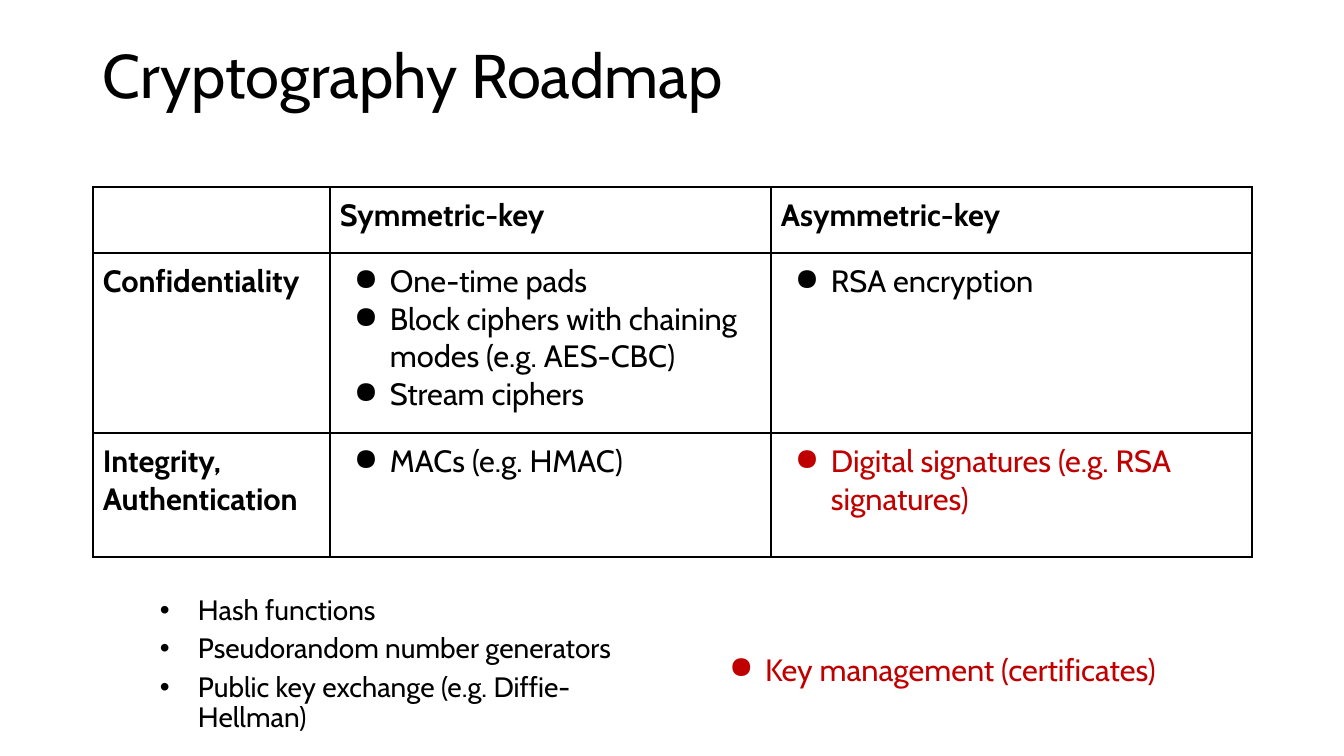
from lxml.etree import SubElement
from pptx import Presentation
from pptx.dml.color import RGBColor
from pptx.enum.text import MSO_ANCHOR, MSO_AUTO_SIZE
from pptx.oxml.ns import qn
from pptx.util import Emu, Pt

SLIDE_WIDTH, SLIDE_HEIGHT = 1344, 756
EMU_PER_PX = 12192000 / SLIDE_WIDTH
FONT = "Cabin"
BLACK = RGBColor(0x00, 0x00, 0x00)
RED = RGBColor(0xC0, 0x00, 0x00)
DISC, DOT = "●", "•"
INSET = 10

COLUMN_WIDTHS = [237, 441, 481]
ROW_HEIGHTS = [66, 180, 124]
KEY_TYPES = ["Symmetric-key", "Asymmetric-key"]
GOALS = [
    ("Confidentiality",
     ["One-time pads",
      "Block ciphers with chaining modes (e.g. AES-CBC)",
      "Stream ciphers"],
     ["RSA encryption"]),
    ("Integrity,\vAuthentication",
     ["MACs (e.g. HMAC)"],
     ["Digital signatures (e.g. RSA signatures)"]),
]
HIGHLIGHTED = {"Digital signatures (e.g. RSA signatures)"}
OTHER_TOPICS = [
    "Hash functions",
    "Pseudorandom number generators",
    "Public key exchange (e.g. Diffie-Hellman)",
]


def px(length):
    return Emu(round(length * EMU_PER_PX))


def set_bullet(paragraph, bullet, margin, hanging, bullet_font=None):
    properties = paragraph._p.get_or_add_pPr()
    properties.set("marL", str(px(margin)))
    properties.set("indent", str(px(-hanging)))
    if bullet_font:
        SubElement(properties, qn("a:buFont"), typeface=bullet_font)
    SubElement(properties, qn("a:buChar"), char=bullet)


def write_lines(frame, lines, size, color=BLACK, bold=False, spacing=None):
    frame.text = "\n".join(lines)
    for paragraph in frame.paragraphs:
        if spacing:
            paragraph.line_spacing = spacing
        for font in [paragraph.font] + [run.font for run in paragraph.runs]:
            font.name = FONT
            font.size = Pt(size)
            font.bold = bold
            font.color.rgb = color
    return frame.paragraphs


def add_text_frame(slide, left, top, width, height, inset=INSET):
    frame = slide.shapes.add_textbox(px(left), px(top), px(width), px(height)).text_frame
    frame.word_wrap = True
    frame.margin_left = frame.margin_right = px(INSET)
    frame.margin_top = frame.margin_bottom = px(inset)
    return frame


def style_cell(cell):
    """Clear the fill, even out the margins and rule all four sides."""
    cell.margin_left = cell.margin_right = px(INSET)
    cell.margin_top = cell.margin_bottom = px(INSET)
    cell.vertical_anchor = MSO_ANCHOR.TOP
    properties = cell._tc.get_or_add_tcPr()
    for side in ("lnL", "lnR", "lnT", "lnB"):
        border = SubElement(properties, qn(f"a:{side}"), w=str(Pt(1)))
        fill = SubElement(border, qn("a:solidFill"))
        SubElement(fill, qn("a:srgbClr"), val=str(BLACK))
    cell.fill.background()


def add_roadmap_table(slide):
    roadmap = slide.shapes.add_table(
        len(ROW_HEIGHTS), len(COLUMN_WIDTHS), px(93), px(187),
        px(sum(COLUMN_WIDTHS)), px(sum(ROW_HEIGHTS))).table
    for column, width in zip(roadmap.columns, COLUMN_WIDTHS):
        column.width = px(width)
    for row, height in zip(roadmap.rows, ROW_HEIGHTS):
        row.height = px(height)
    for cell in roadmap.iter_cells():
        style_cell(cell)

    for column, heading in enumerate([""] + KEY_TYPES):
        write_lines(roadmap.cell(0, column).text_frame, [heading], 22, bold=True)
    for row, (goal, *schemes_by_key) in enumerate(GOALS, start=1):
        write_lines(roadmap.cell(row, 0).text_frame, [goal], 22, bold=True)
        for column, schemes in enumerate(schemes_by_key, start=1):
            color = RED if HIGHLIGHTED.issuperset(schemes) else BLACK
            frame = roadmap.cell(row, column).text_frame
            for paragraph in write_lines(frame, schemes, 22, color):
                set_bullet(paragraph, DISC, 50, 36)


def add_title(slide):
    frame = add_text_frame(slide, 93, 40, 1159, 90, inset=5)
    write_lines(frame, ["Cryptography Roadmap"], 44, spacing=0.9)


def add_other_topics(slide):
    frame = add_text_frame(slide, 137, 586, 528, 158)
    for paragraph in write_lines(frame, OTHER_TOPICS, 20, spacing=0.9):
        paragraph.space_after = Pt(6)
        set_bullet(paragraph, DOT, 51, 38, bullet_font="Arial")


def add_key_management(slide):
    frame = add_text_frame(slide, 705, 635, 488, 64)
    frame.auto_size = MSO_AUTO_SIZE.SHAPE_TO_FIT_TEXT
    for paragraph in write_lines(frame, ["Key management (certificates)"], 22, RED, spacing=1.15):
        set_bullet(paragraph, DISC, 50, 36)


def main():
    deck = Presentation()
    deck.slide_width, deck.slide_height = px(SLIDE_WIDTH), px(SLIDE_HEIGHT)
    slide = deck.slides.add_slide(deck.slide_layouts[6])
    add_roadmap_table(slide)
    add_other_topics(slide)
    add_key_management(slide)
    add_title(slide)
    deck.save("out.pptx")


if __name__ == "__main__":
    main()
